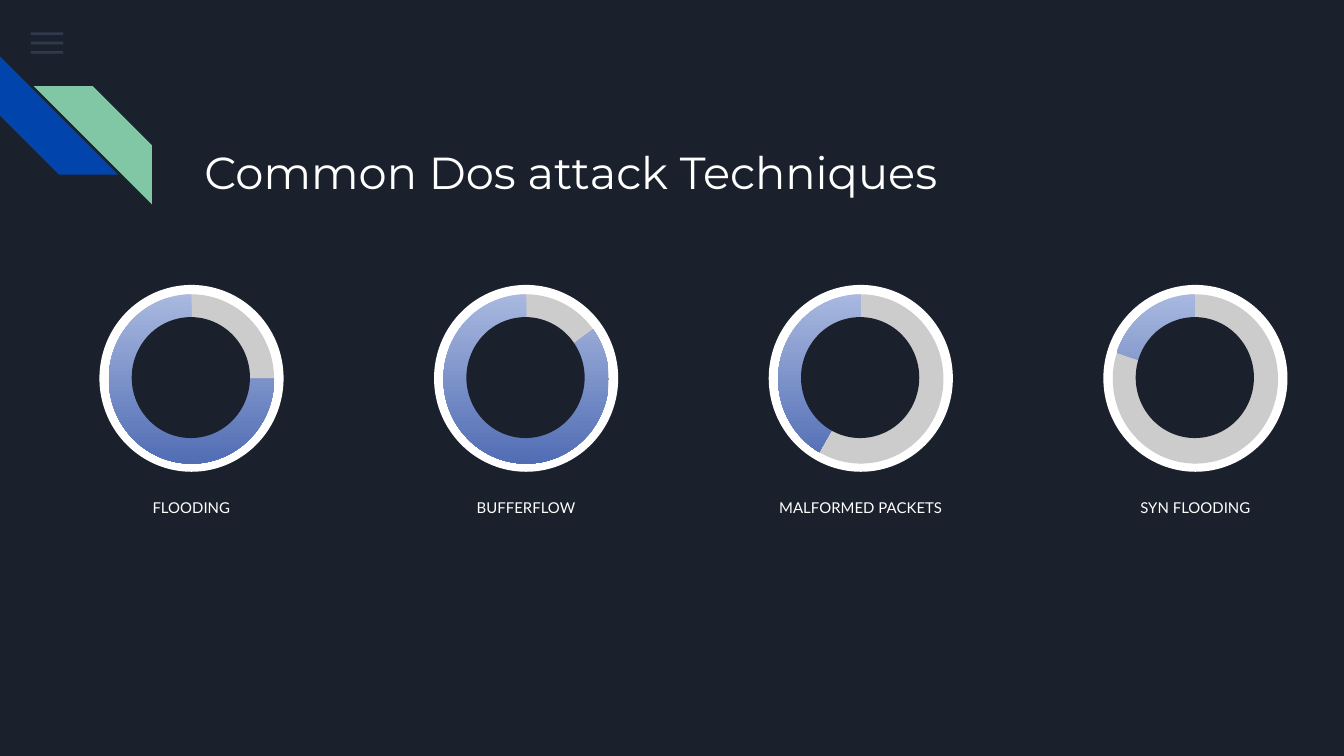
from lxml import etree
from pptx import Presentation
from pptx.dml.color import RGBColor
from pptx.enum.shapes import MSO_SHAPE
from pptx.enum.text import MSO_ANCHOR, MSO_AUTO_SIZE, PP_ALIGN
from pptx.oxml.ns import qn
from pptx.util import Inches, Pt

RECTANGLE = MSO_SHAPE.RECTANGLE
STRIPE = MSO_SHAPE.DIAGONAL_STRIPE
OVAL = MSO_SHAPE.OVAL
PIE = MSO_SHAPE.PIE
TOP = MSO_ANCHOR.TOP
NO_AUTOFIT = MSO_AUTO_SIZE.NONE
LEFT, CENTER = PP_ALIGN.LEFT, PP_ALIGN.CENTER

NAVY = RGBColor(0x1B, 0x21, 0x2C)
SLATE = RGBColor(0x55, 0x68, 0x8B)
BLUE = RGBColor(0x01, 0x45, 0xAC)
GREEN = RGBColor(0x82, 0xC7, 0xA5)
WHITE = RGBColor(0xFF, 0xFF, 0xFF)
GRAY = RGBColor(0xCC, 0xCC, 0xCC)
LIGHT_BLUE = RGBColor(0xA8, 0xB8, 0xDF)
DEEP_BLUE = RGBColor(0x51, 0x6D, 0xB4)


def add_filled(page, kind, left, top, width, height, color):
    shape = page.shapes.add_shape(
        kind, Inches(left), Inches(top), Inches(width), Inches(height))
    shape.shadow.inherit = False
    shape.line.fill.background()
    shape.fill.solid()
    shape.fill.fore_color.rgb = color
    return shape


def write_text(box, text, font, size, align):
    frame = box.text_frame
    frame.word_wrap = True
    frame.auto_size = NO_AUTOFIT
    frame.vertical_anchor = TOP
    frame.margin_left = frame.margin_right = Inches(0.1)
    frame.margin_top = frame.margin_bottom = Inches(0.1)
    para = frame.paragraphs[0]
    para.alignment = align
    para.space_before = Pt(0)
    para.space_after = Pt(16)
    span = para.add_run()
    span.text = text
    span.font.name = font
    span.font.size = Pt(size)
    span.font.color.rgb = WHITE
    return para


deck = Presentation()
deck.slide_width = Inches(10)
deck.slide_height = Inches(10) * 9 // 16
page = deck.slides.add_slide(deck.slide_layouts[5])
page.background.fill.solid()
page.background.fill.fore_color.rgb = NAVY

for row in range(3):
    bar = add_filled(page, RECTANGLE, 0.23, 0.24 + 0.07 * row, 0.24, 0.02, SLATE)
    color = bar._element.spPr.find(qn("a:solidFill"))[0]
    etree.SubElement(color, qn("a:alpha"), val="36000")

blue_stripe = add_filled(page, STRIPE, 0, 0.42, 0.88, 0.88, BLUE)
blue_stripe.rotation = 270
green_stripe = add_filled(page, STRIPE, 0.25, 0.64, 0.88, 0.88, GREEN)
green_stripe._element.spPr.find(qn("a:xfrm")).set("flipH", "1")

title = page.shapes.title
title.left, title.top = Inches(1.42), Inches(0.92)
title.width, title.height = Inches(6.13), Inches(0.65)
heading = write_text(title, "Common Dos attack Techniques", "Montserrat", 24, LEFT)
heading.line_spacing = 1.15

techniques = [
    ("FLOODING", 0),
    ("BUFFERFLOW", 194.1),
    ("MALFORMED PACKETS", 71.82),
    ("SYN FLOODING", 119.12),
]
for column, (name, start) in enumerate(techniques):
    left = 0.74 + 2.49 * column
    add_filled(page, OVAL, left, 2.12, 1.37, 1.39, WHITE)
    add_filled(page, OVAL, left + 0.07, 2.19, 1.23, 1.26, GRAY)

    share = add_filled(page, PIE, left + 0.07, 2.19, 1.23, 1.26, DEEP_BLUE)
    share.adjustments[0] = start
    share.adjustments[1] = 162
    share.fill.gradient()
    share.fill.gradient_angle = 270
    for stop, color in zip(share.fill.gradient_stops, (LIGHT_BLUE, DEEP_BLUE)):
        stop.color.rgb = color

    add_filled(page, OVAL, left + 0.24, 2.36, 0.88, 0.9, NAVY)
    label = page.shapes.add_textbox(
        Inches(left - 0.03), Inches(3.61), Inches(1.43), Inches(0.6))
    write_text(label, name, "Lato", 8, CENTER)

deck.save("out.pptx")
